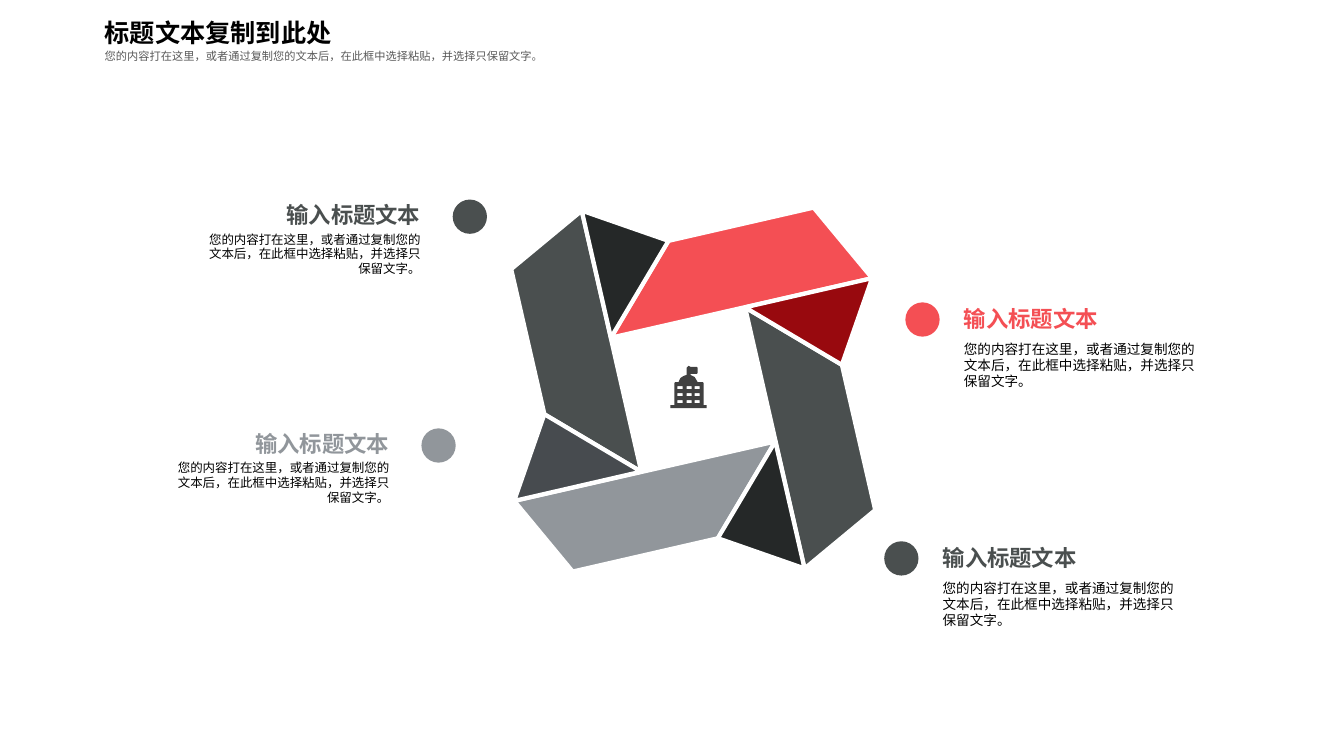
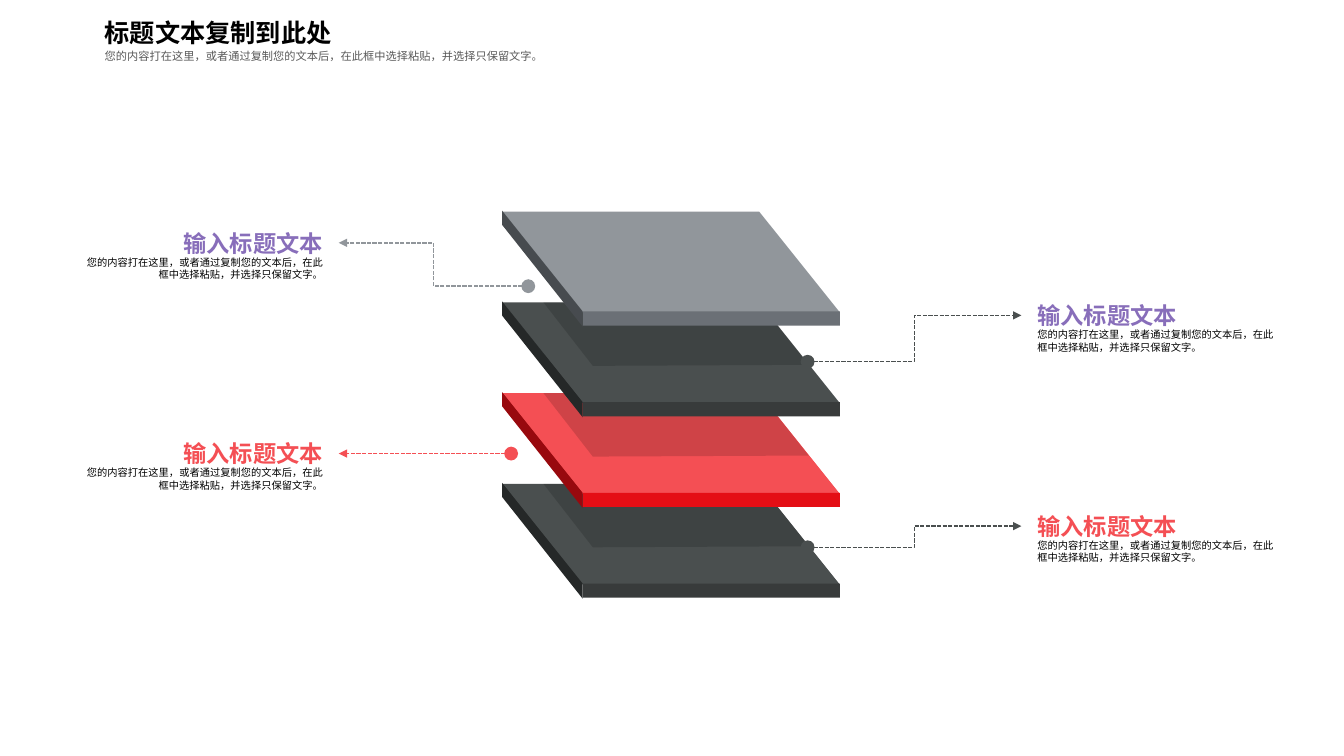
from lxml.etree import SubElement
from pptx import Presentation
from pptx.dml.color import RGBColor
from pptx.enum.dml import MSO_LINE
from pptx.enum.lang import MSO_LANGUAGE_ID as Language
from pptx.enum.shapes import MSO_CONNECTOR as Connector, MSO_SHAPE as Preset
from pptx.enum.text import MSO_ANCHOR as Anchor, MSO_AUTO_SIZE as AutoSize, PP_ALIGN as Align
from pptx.oxml.ns import qn
from pptx.util import Pt

PX = 9144
COLORS = {
    "slate": "4A4F4F",
    "red": "F44F54",
    "grey": "91969B",
    "ink": "252828",
    "maroon": "98090E",
    "steel": "474B4F",
    "charcoal": "383B3B",
    "scarlet": "E40E15",
    "iron": "6B7076",
    "purple": "886EBA",
    "icon": "404040",
    "muted": "595959",
    "black": "000000",
    "white": "FFFFFF",
}
TITLE_FONT = "Noto Sans CJK SC"
BODY_FONT = "Arial"
TITLE = "标题文本复制到此处"
HEADING = "输入标题文本"
DETAIL = "您的内容打在这里，或者通过复制您的文本后，在此框中选择粘贴，并选择只保留文字。"
SLAB_STEP = 90


def rgb(name):
    return RGBColor.from_string(COLORS[name])


def paint(shape, color, border=None):
    shape.shadow.inherit = False
    shape.fill.solid()
    shape.fill.fore_color.rgb = rgb(color)
    if border:
        shape.line.color.rgb = rgb(border)
        shape.line.width = Pt(3)
    else:
        shape.line.fill.background()
    return shape


def add_outline(page, contours, color, border=None):
    first, *others = contours
    builder = page.shapes.build_freeform(*first[0], scale=PX)
    builder.add_line_segments(first[1:], close=True)
    for contour in others:
        builder.move_to(*contour[0])
        builder.add_line_segments(contour[1:], close=True)
    return paint(builder.convert_to_shape(), color, border)


def add_preset(page, kind, area, color):
    return paint(page.shapes.add_shape(kind, *(PX * n for n in area)), color)


def add_text(page, area, text, size, color="black", bold=False, font=BODY_FONT,
             align=Align.LEFT, anchor=Anchor.TOP, insets=(0, 0, 0, 0), spacing=None):
    box = page.shapes.add_textbox(*(PX * n for n in area))
    frame = box.text_frame
    frame.text = text
    frame.word_wrap = True
    frame.vertical_anchor = anchor
    (frame.margin_left, frame.margin_top,
     frame.margin_right, frame.margin_bottom) = (PX * n for n in insets)
    para = frame.paragraphs[0]
    para.alignment = align
    if spacing:
        para.line_spacing = spacing
    span = para.runs[0]
    span.font.name = font
    span.font.size = Pt(size)
    span.font.bold = bold
    span.font.color.rgb = rgb(color)
    span.font.language_id = Language.SIMPLIFIED_CHINESE
    SubElement(span.font._element, qn("a:ea"), typeface=font)
    return box


def add_header(page):
    rows = (
        ((94, 3, 356, 49), TITLE, 18, "black", True, 1.3),
        ((94, 37, 626, 30), DETAIL, 8, "muted", False, 1.5),
    )
    for area, text, size, color, bold, spacing in rows:
        box = add_text(page, area, text, size, color, bold, TITLE_FONT,
                       insets=(10, 5, 10, 5), spacing=spacing)
        box.text_frame.auto_size = AutoSize.SHAPE_TO_FIT_TEXT


def quarter_turn(points):
    return [(y + 301, 1074 - x) for x, y in points]


def add_ring(page):
    arm = [(835, 362), (739, 305), (798, 564), (868, 506)]
    fold = [(865, 276), (835, 362), (739, 305)]
    parts = (
        (arm, ("slate", "red", "slate", "grey")),
        (fold, ("maroon", "ink", "steel", "ink")),
    )
    for points, colors in parts:
        for color in colors:
            add_outline(page, [points], color, "white")
            points = quarter_turn(points)


def add_building_icon(page):
    walls = [
        (665, 405), (665, 402), (669, 402), (669, 380), (670, 379), (673, 379),
        (675, 375), (678, 373), (681, 372), (681, 365), (683, 363), (685, 364),
        (691, 364), (692, 365), (692, 370), (691, 371), (685, 371), (685, 372),
        (689, 374), (692, 379), (697, 379), (698, 380), (698, 402), (701, 402),
        (701, 405),
    ]
    windows = [
        [(x, y), (x + 5, y), (x + 5, y + 3), (x, y + 3)]
        for y in (383, 390, 397) for x in (672, 681, 689)
    ]
    add_outline(page, [walls, *windows], "icon")


def add_dot_callout(page, x, y, color, on_left):
    add_preset(page, Preset.OVAL, (x, y, 34, 34), color)
    if on_left:
        left, width = x - 248, 247
        head_top, head_height, body_top, body_height = y - 1, 32, y + 31, 46
        style = {"align": Align.RIGHT, "anchor": Anchor.MIDDLE, "insets": (0, 0, 31, 0)}
        body_style, size = style, 8.9
    else:
        left, width = x + 34, 266
        head_top, head_height, body_top, body_height = y - 12, 41, y + 30, 79
        style = {"anchor": Anchor.BOTTOM, "insets": (24, 0, 0, 0)}
        body_style, size = {"insets": (24, 8, 0, 0)}, 9.7
    add_text(page, (left, head_top, width, head_height), HEADING, 16, color, True, **style)
    add_text(page, (left, body_top, width, body_height), DETAIL, size, **body_style)


def add_slab(page, top, face, side, front, shaded):
    add_outline(page, [[(578, top + 100), (833, top + 100), (753, top), (498, top)]], face)
    add_outline(page, [[(498, top - 1), (498, top + 13),
                        (578, top + 114), (578, top + 99)]], side)
    add_preset(page, Preset.RECTANGLE, (578, top + 99, 255, 14), front)
    if shaded:
        shade = add_outline(page, [[(588, top + 63), (802, top + 62),
                                    (753, top), (539, top)]], "black")
        black = next(shade._element.spPr.iter(qn("a:srgbClr")))
        SubElement(black, qn("a:alpha"), val="15000")


def add_leader(page, start, end, color):
    leader = page.shapes.add_connector(Connector.ELBOW, *(PX * n for n in start + end))
    leader.line.color.rgb = rgb(color)
    leader.line.width = Pt(1)
    leader.line.dash_style = MSO_LINE.SQUARE_DOT
    line = leader.line._get_or_add_ln()
    SubElement(line, qn("a:headEnd"), type="oval", w="lg", len="lg")
    SubElement(line, qn("a:tailEnd"), type="triangle", w="med", len="med")
    SubElement(leader._element.spPr, qn("a:effectLst"))


def add_leader_label(page, end, color, on_left):
    x, y = end
    width = 257
    left = x - width if on_left else x
    style = {
        "align": Align.RIGHT if on_left else Align.LEFT,
        "insets": (0, 0, 16, 0) if on_left else (16, 0, 0, 0),
    }
    add_text(page, (left, y - 14, width, 27), HEADING, 16.6, color, True, **style)
    add_text(page, (left, y + 13, width, 38), DETAIL, 7.3, **style)


def build_ring_page(page):
    add_ring(page)
    add_building_icon(page)
    callouts = (
        (898, 300, "red", False),
        (877, 537, "slate", False),
        (449, 198, "slate", True),
        (418, 425, "grey", True),
    )
    for callout in callouts:
        add_dot_callout(page, *callout)
    add_header(page)


def build_layers_page(page):
    slate = ("slate", "ink", "charcoal")
    layers = (
        (slate, (801, 543), (1013, 522), "red"),
        (("red", "maroon", "scarlet"), (507, 450), (336, 450), "red"),
        (slate, (801, 359), (1013, 313), "purple"),
        (("grey", "steel", "iron"), (524, 284), (336, 241), "purple"),
    )
    for index, (colors, start, end, heading_color) in enumerate(layers):
        is_top = index == len(layers) - 1
        add_slab(page, 480 - index * SLAB_STEP, *colors, shaded=not is_top)
        add_leader(page, start, end, colors[0])
        add_leader_label(page, end, heading_color, end[0] < start[0])
    add_header(page)


def main():
    deck = Presentation()
    deck.slide_width = 1333 * PX
    deck.slide_height = 750 * PX
    for build in (build_ring_page, build_layers_page):
        build(deck.slides.add_slide(deck.slide_layouts[6]))
    deck.save("out.pptx")


if __name__ == "__main__":
    main()
